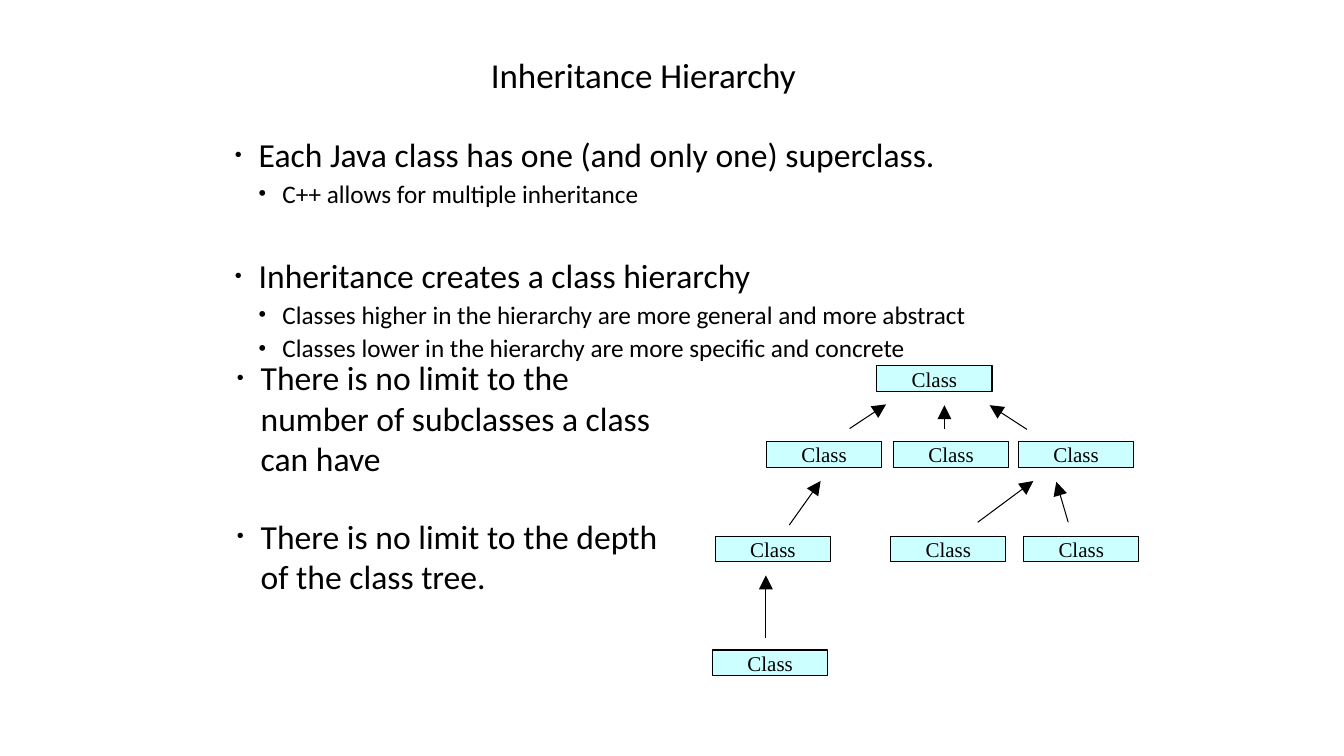
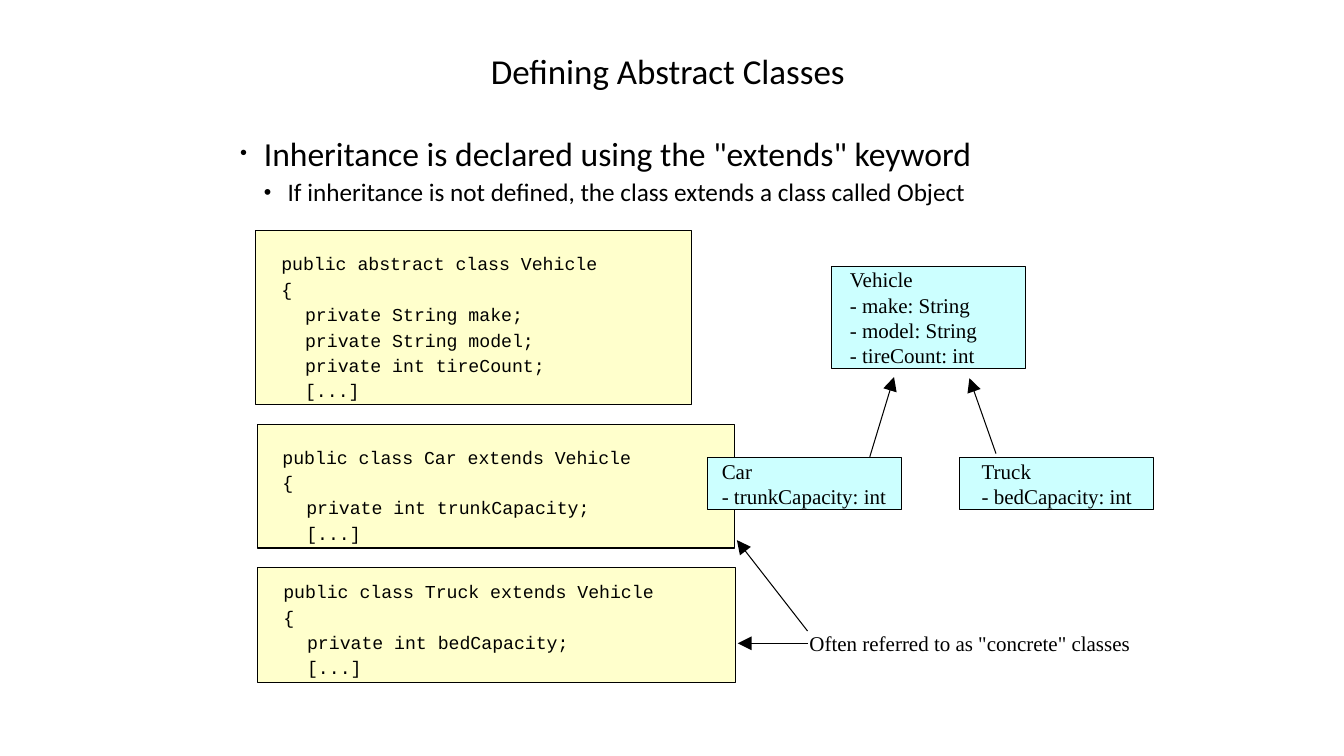
from lxml import etree
from pptx import Presentation
from pptx.dml.color import RGBColor
from pptx.enum import shapes, text
from pptx.oxml.ns import qn
from pptx.util import Cm, Pt

BLACK = RGBColor(0, 0, 0)
AQUA = RGBColor(0xCC, 0xFF, 0xFF)
CREAM = RGBColor(0xFF, 0xFF, 0xCC)
SANS, SERIF, MONO = "Calibri", "Times New Roman", "Courier New"
LEFT, MID = text.PP_ALIGN.LEFT, text.PP_ALIGN.CENTER
TOP, CORE = text.MSO_ANCHOR.TOP, text.MSO_ANCHOR.MIDDLE
LEVELS = [dict(size=24, left=0.6, hang=0.6, dot=59),
          dict(size=18, left=1.2, hang=0.6, dot=85)]


def put(frame, words, font=SANS, size=24, align=LEFT, before=0,
        left=0, hang=0, dot=0, level=0):
    para = frame.paragraphs[0]
    if para.runs:
        para = frame.add_paragraph()
    para.alignment = align
    para.level = level
    para.space_before = Pt(before)
    run = para.add_run()
    run.text = words
    run.font.name = font
    run.font.size = Pt(size)
    run.font.color.rgb = BLACK
    props = para._p.get_or_add_pPr()
    props.set("marL", str(Cm(left)))
    props.set("indent", str(-Cm(hang)))
    if dot:
        tint = etree.SubElement(props, qn("a:buClr"))
        etree.SubElement(tint, qn("a:srgbClr"), val=str(BLACK))
        etree.SubElement(props, qn("a:buSzPct"), val=str(dot * 1000))
        etree.SubElement(props, qn("a:buFont"), typeface="Arial")
        etree.SubElement(props, qn("a:buChar"), char="•")


class Deck:
    def __init__(self):
        self.show = Presentation()
        self.show.slide_width = Cm(33.87)
        self.show.slide_height = Cm(19.05)
        self.slide = None

    def page(self, title, top):
        self.slide = self.show.slides.add_slide(self.show.slide_layouts[6])
        put(self.area(12.37, top, 10.6, 1.07), title, size=25)

    def fit(self, frame, anchor=TOP, left=0, top=0, wrap=True):
        frame.margin_left, frame.margin_top = Cm(left), Cm(top)
        frame.margin_right = frame.margin_bottom = 0
        frame.vertical_anchor = anchor
        frame.word_wrap = wrap
        return frame

    def area(self, x, y, w, h, wrap=True):
        box = self.slide.shapes.add_textbox(Cm(x), Cm(y), Cm(w), Cm(h))
        return self.fit(box.text_frame, wrap=wrap)

    def body(self, x, y, w, h, items):
        frame = self.area(x, y, w, h)
        for words, level, gap in items:
            put(frame, words, level=level, before=2.5 + gap, **LEVELS[level])

    def box(self, x, y, w, h, fill):
        box = self.slide.shapes.add_shape(
            shapes.MSO_SHAPE.ROUNDED_RECTANGLE, Cm(x), Cm(y), Cm(w), Cm(h))
        box.adjustments[0] = 0
        box.shadow.inherit = False
        box.fill.solid()
        box.fill.fore_color.rgb = fill
        box.line.color.rgb = BLACK
        box.line.width = Pt(0.75)
        return box.text_frame

    def code(self, x, y, w, h, top, head, fields):
        frame = self.fit(self.box(x, y, w, h, CREAM), left=0.64, top=top)
        for words, left in [(head, 0), ("{", 0),
                            *((field, 0.6) for field in fields), ("[...]", 0.6)]:
            put(frame, words, font=MONO, size=13, before=2.5, left=left)

    def uml(self, x, y, w, h, lines, left=0, align=LEFT):
        frame = self.fit(self.box(x, y, w, h, AQUA), anchor=CORE, left=left)
        for words in lines:
            put(frame, words, font=SERIF, size=15, align=align)

    def arrow(self, *ends):
        line = self.slide.shapes.add_connector(
            shapes.MSO_CONNECTOR.STRAIGHT, *map(Cm, ends))
        line.line.color.rgb = BLACK
        line.line.width = Pt(0.75)
        props = line._element.spPr
        etree.SubElement(props.find(qn("a:ln")), qn("a:tailEnd"),
                         type="triangle", w="lg", len="lg")
        etree.SubElement(props, qn("a:effectLst"))


def tree(deck):
    deck.page("Inheritance Hierarchy", 1.35)
    deck.body(5.92, 3.38, 21.59, 5.84, [
        ("Each Java class has one (and only one) superclass.", 0, 0),
        ("C++ allows for multiple inheritance", 1, 0),
        ("Inheritance creates a class hierarchy", 0, 31),
        ("Classes higher in the hierarchy are more general and more abstract", 1, 0),
        ("Classes lower in the hierarchy are more specific and concrete", 1, 0)])
    deck.body(5.97, 9, 10.87, 6.07, [
        ("There is no limit to the number of subclasses a class can have", 0, 0),
        ("There is no limit to the depth of the class tree.", 0, 24.5)])
    rows = [(9.22, [22.1]), (11.13, [19.32, 22.52, 25.67]),
            (13.51, [18.03, 22.45, 25.8]), (16.38, [17.96])]
    for y, row in rows:
        for x in row:
            deck.uml(x, y, 2.9, 0.65, ["Class"], align=MID)
    for ends in [(19.3, 16.08, 19.3, 14.5), (19.89, 13.23, 20.68, 12.12),
                 (24.64, 13.16, 26.04, 12.12), (26.92, 13.16, 26.62, 12.14),
                 (25.88, 10.82, 24.94, 10.21), (23.8, 10.8, 23.8, 10.21),
                 (21.41, 10.8, 22.33, 10.19)]:
        deck.arrow(*ends)


def cars(deck):
    deck.page("Defining Abstract Classes", 1.24)
    deck.body(6.05, 3.35, 21.59, 3, [
        ('Inheritance is declared using the "extends" keyword', 0, 0),
        ("If inheritance is not defined, the class extends a class called Object", 1, 0)])
    deck.code(6.45, 5.82, 10.97, 4.37, 0.55, "public abstract class Vehicle",
              ["private String make;", "private String model;", "private int tireCount;"])
    deck.code(6.48, 10.69, 12.04, 3.12, 0.55, "public class Car extends Vehicle",
              ["private int trunkCapacity;"])
    deck.code(6.5, 14.3, 12.04, 2.9, 0.33, "public class Truck extends Vehicle",
              ["private int bedCapacity;"])
    deck.uml(20.96, 6.71, 4.88, 2.57, ["Vehicle", "- make: String",
             "- model: String", "- tireCount: int"], left=0.46)
    deck.uml(17.83, 11.53, 4.88, 1.3, ["Car", "- trunkCapacity: int"], left=0.36)
    deck.uml(24.18, 11.53, 4.88, 1.3, ["Truck", "- bedCapacity: int"], left=0.56)
    put(deck.area(20.4, 15.9, 8.15, 0.64, wrap=False),
        'Often referred to as "concrete" classes', font=SERIF, size=15)
    for ends in [(21.92, 11.51, 22.53, 9.5), (25.1, 11.43, 24.43, 9.53),
                 (20.35, 16.21, 18.59, 16.21), (20.35, 15.9, 18.57, 13.61)]:
        deck.arrow(*ends)


def main():
    deck = Deck()
    tree(deck)
    cars(deck)
    deck.show.save("out.pptx")


if __name__ == "__main__":
    main()
